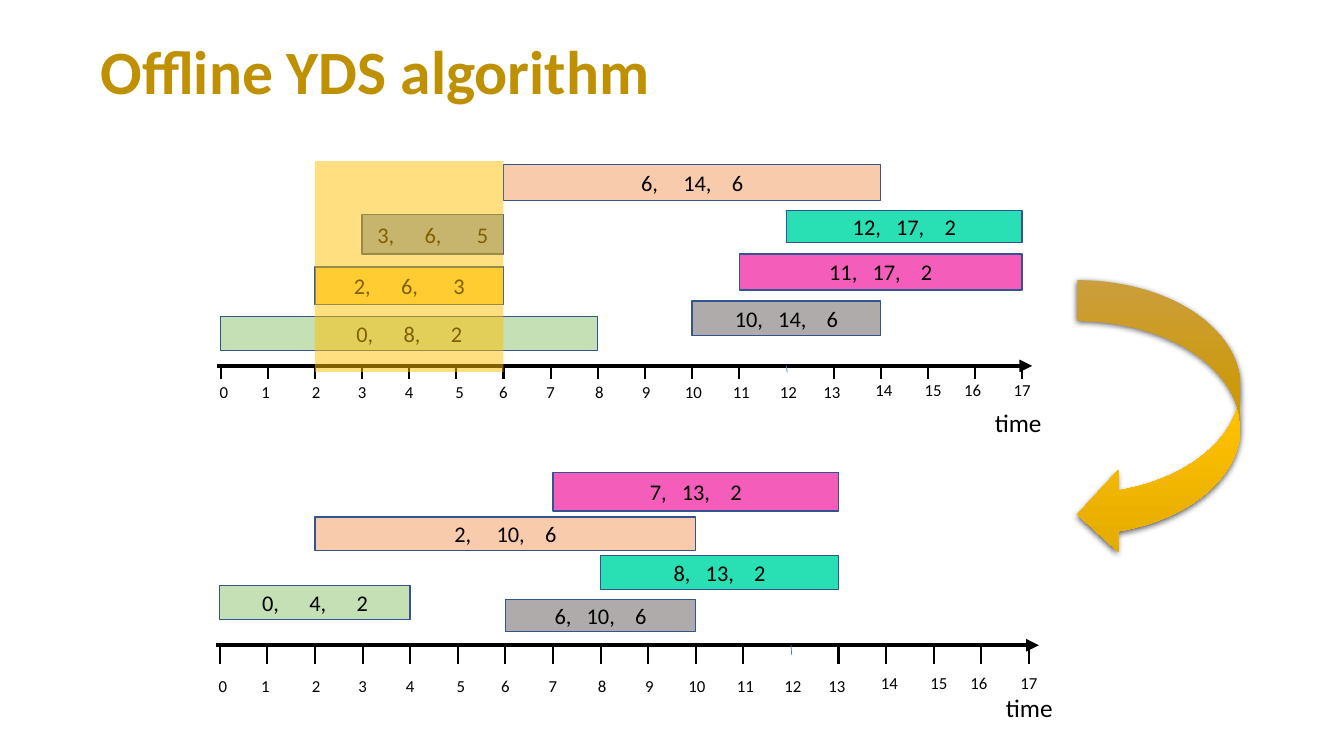
from dataclasses import dataclass

from lxml.etree import SubElement
from pptx import Presentation
from pptx.dml.color import RGBColor
from pptx.enum.shapes import MSO_CONNECTOR, MSO_SHAPE
from pptx.enum.text import MSO_ANCHOR, PP_ALIGN
from pptx.oxml import parse_xml
from pptx.oxml.ns import nsdecls, qn
from pptx.util import Cm, Pt

FONT = "Calibri"
BLACK, GOLD, OUTLINE, FAINT_TICK = "000000", "FFC000", "325491", "4472C4"
GREEN, PEACH, GREY, PINK, TEAL = "C5E0B4", "F8CBAD", "AFABAB", "F55DBB", "28E0B4"
BLUE, YELLOW = "8FAADC", "FFD966"
JOB_SIZE = 16
SPACE_WIDTH = 0.226  # width of a space, as a share of the font size

# Sideways shift of each number from its tick, in cm
NUMBER_SHIFTS = (0.08, -0.05, 0.03, 0, 0, 0.08, 0, 0, 0.04,
                 0.03, 0.03, 0.05, 0.05, -0.04, 0.08, 0.13, -0.06, 0)
LAST_TIME = len(NUMBER_SHIFTS) - 1


@dataclass
class Job:
    release: int
    deadline: int
    work: int
    gaps: tuple[int, int]  # widths of the gaps in the label, in spaces
    top: float
    height: float
    color: str


@dataclass
class Timeline:
    first: float  # x of time 0
    last: float  # x of the last time
    axis: float
    tick: float
    number_middle: float
    number_height: float
    time_left: float
    time_top: float
    jobs: list[Job]

    def x(self, time: int) -> float:
        return self.first + time * (self.last - self.first) / LAST_TIME


BEFORE = Timeline(5.56, 25.76, 9.22, 0.32, 9.88, 0.45, 24.1, 10.13, [
    Job(3, 6, 5, (6, 7), 5.41, 0.99, BLUE),
    Job(2, 6, 3, (6, 7), 6.73, 0.94, YELLOW),
    Job(0, 8, 2, (6, 6), 7.98, 0.86, GREEN),
    Job(6, 14, 6, (5, 4), 4.14, 0.91, PEACH),
    Job(10, 14, 6, (3, 4), 7.59, 0.86, GREY),
    Job(11, 17, 2, (3, 4), 6.4, 0.91, PINK),
    Job(12, 17, 2, (3, 4), 5.31, 0.81, TEAL),
])
AFTER = Timeline(5.54, 25.93, 16.26, 0.48, 17.27, 0.7, 24.38, 17.32, [
    Job(0, 4, 2, (6, 6), 14.76, 0.86, GREEN),
    Job(2, 10, 6, (5, 4), 13.03, 0.84, PEACH),
    Job(6, 10, 6, (3, 4), 15.11, 0.81, GREY),
    Job(7, 13, 2, (3, 4), 11.91, 0.97, PINK),
    Job(8, 13, 2, (3, 4), 14, 0.86, TEAL),
])


def color(value: str) -> RGBColor:
    return RGBColor.from_string(value)


def add_run(paragraph, text: str, size: float, hex_color: str = BLACK, bold: bool = False):
    run = paragraph.add_run()
    run.text = text
    run.font.name = FONT
    run.font.size = Pt(size)
    run.font.bold = bold
    run.font.color.rgb = color(hex_color)
    return run


def add_gap(paragraph, spaces: int) -> None:
    """Add one space, widened by letter spacing."""
    run = add_run(paragraph, " ", JOB_SIZE)
    extra = (spaces - 1) * SPACE_WIDTH * JOB_SIZE
    run._r.get_or_add_rPr().set("spc", str(round(extra * 100)))


def add_text(slide, left: float, top: float, width: float, height: float,
             anchor=MSO_ANCHOR.MIDDLE, inset: float = 0):
    """Add a text box and return its first paragraph."""
    frame = slide.shapes.add_textbox(Cm(left), Cm(top), Cm(width), Cm(height)).text_frame
    frame.word_wrap = True
    frame.vertical_anchor = anchor
    frame.margin_left = Cm(inset)
    frame.margin_right = Cm(0)
    frame.margin_top = frame.margin_bottom = Cm(0.13 if inset else 0)
    return frame.paragraphs[0]


def add_rectangle(slide, left: float, top: float, width: float, height: float, fill: str):
    shape = slide.shapes.add_shape(
        MSO_SHAPE.RECTANGLE, Cm(left), Cm(top), Cm(width), Cm(height))
    shape.shadow.inherit = False
    shape.fill.solid()
    shape.fill.fore_color.rgb = color(fill)
    return shape


def add_line(slide, x1: float, y1: float, x2: float, y2: float,
             width: float, hex_color: str = BLACK, arrow: bool = False) -> None:
    line = slide.shapes.add_connector(
        MSO_CONNECTOR.STRAIGHT, Cm(x1), Cm(y1), Cm(x2), Cm(y2))
    line.line.width = Pt(width)
    line.line.color.rgb = color(hex_color)
    if arrow:
        SubElement(line.line._get_or_add_ln(), qn("a:tailEnd"), type="triangle")
    SubElement(line._element.spPr, qn("a:effectLst"))


def add_job(slide, timeline: Timeline, job: Job) -> None:
    left = timeline.x(job.release)
    width = timeline.x(job.deadline) - left
    shape = add_rectangle(slide, left, job.top, width, job.height, job.color)
    shape.line.color.rgb = color(OUTLINE)
    shape.line.width = Pt(1)
    frame = shape.text_frame
    frame.vertical_anchor = MSO_ANCHOR.MIDDLE
    frame.margin_top = frame.margin_bottom = Cm(0)
    paragraph = frame.paragraphs[0]
    paragraph.alignment = PP_ALIGN.CENTER
    add_run(paragraph, f"{job.release},", JOB_SIZE)
    add_gap(paragraph, job.gaps[0])
    add_run(paragraph, f"{job.deadline},", JOB_SIZE)
    add_gap(paragraph, job.gaps[1])
    add_run(paragraph, str(job.work), JOB_SIZE)


def add_timeline(slide, timeline: Timeline) -> None:
    # Axis with ticks and numbers
    axis = timeline.axis
    add_line(slide, timeline.first - 0.1, axis, timeline.last + 0.25, axis, 3, arrow=True)
    for time, shift in enumerate(NUMBER_SHIFTS):
        x = timeline.x(time)
        if time == 12:
            add_line(slide, x, axis, x + 0.02, axis + timeline.tick / 2, 0.5, FAINT_TICK)
        else:
            add_line(slide, x, axis, x, axis + timeline.tick, 1.5)
        width = 0.36 if time < 10 else 1.04
        rise = 0.06 if time >= 14 else 0
        top = timeline.number_middle - timeline.number_height / 2 - rise
        paragraph = add_text(slide, x + shift - width / 2, top, width, timeline.number_height)
        paragraph.alignment = PP_ALIGN.CENTER
        add_run(paragraph, str(time), 12)

    # Jobs
    for job in timeline.jobs:
        add_job(slide, timeline, job)


def add_curved_arrow(slide) -> None:
    shape = slide.shapes.add_shape(
        MSO_SHAPE.CURVED_LEFT_ARROW, Cm(27.15), Cm(7.06), Cm(4.11), Cm(6.93))
    shape.line.fill.background()
    shape.shadow.inherit = False
    properties = shape._element.spPr
    stops = "".join(
        f'<a:gs pos="{position}"><a:srgbClr val="{value}"/></a:gs>'
        for position, value in ((0, "FFC64B"), (50000, GOLD), (100000, "E3AB00")))
    properties.find(qn("a:prstGeom")).addnext(parse_xml(
        f'<a:gradFill {nsdecls("a")} rotWithShape="1"><a:gsLst>{stops}</a:gsLst>'
        '<a:lin ang="5400000" scaled="0"/></a:gradFill>'))
    shadow = SubElement(properties.find(qn("a:effectLst")), qn("a:outerShdw"),
                        blurRad=str(Pt(4.5)), dist=str(Pt(1.5)), dir="5400000",
                        algn="ctr", rotWithShape="0")
    shade = SubElement(shadow, qn("a:srgbClr"), val=BLACK)
    SubElement(shade, qn("a:alpha"), val="63000")


def add_critical_interval(slide) -> None:
    left = BEFORE.x(2)
    shape = add_rectangle(slide, left, 4.06, BEFORE.x(6) - left, 5.31, GOLD)
    shape.line.fill.background()
    fill_color = shape._element.spPr.find(qn("a:solidFill")).find(qn("a:srgbClr"))
    SubElement(fill_color, qn("a:alpha"), val="50000")


def main() -> None:
    presentation = Presentation()
    presentation.slide_width, presentation.slide_height = Cm(33.87), Cm(19.05)
    slide = presentation.slides.add_slide(presentation.slide_layouts[6])

    # Title
    title = add_text(slide, 2.29, 0.05, 29.16, 3.68, inset=0.25)
    title.line_spacing = 0.9
    add_run(title, "Offline YDS algorithm", 44, "BF9000", bold=True)

    # Schedules, and the step from one to the other
    for timeline in (AFTER, BEFORE):
        add_timeline(slide, timeline)
    add_curved_arrow(slide)
    add_critical_interval(slide)

    # Axis names
    for timeline in (BEFORE, AFTER):
        paragraph = add_text(slide, timeline.time_left, timeline.time_top, 2.54, 1.02,
                             MSO_ANCHOR.TOP, inset=0.97)
        add_run(paragraph, "time", 18)

    presentation.save("out.pptx")


if __name__ == "__main__":
    main()
